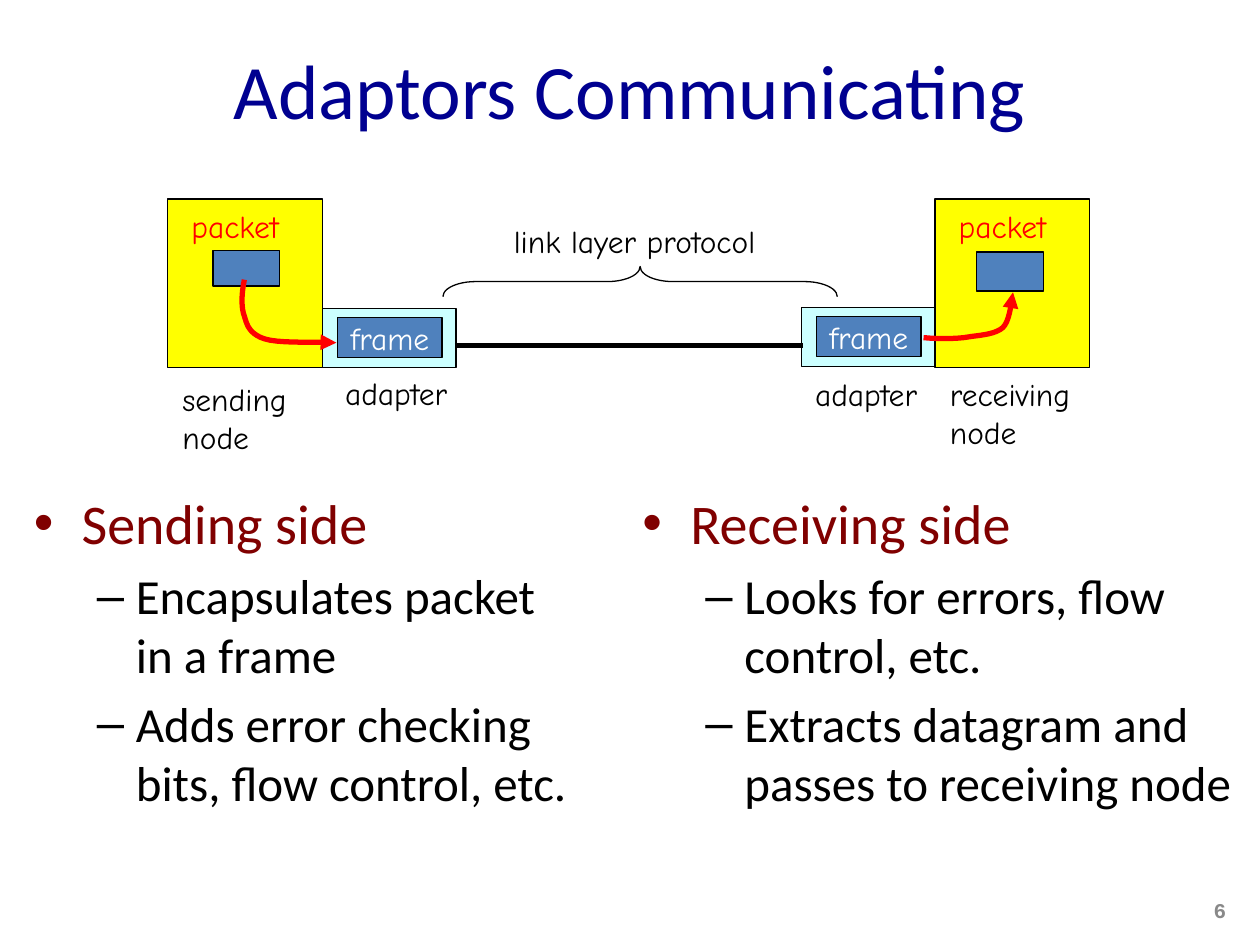
from lxml import etree
from pptx import Presentation
from pptx import util as u
from pptx.dml.color import RGBColor
from pptx.enum import shapes, text
from pptx.oxml import ns

W, H = 10, 7.5
COLORS = {
    "navy": "000090", "maroon": "800000", "black": "000000", "gray": "898989",
    "red": "FF0000", "white": "FFFFFF", "yellow": "FFFF00", "cyan": "CCFFFF",
    "blue": "4F81BD",
}
TITLE = "Adaptors Communicating"
COLUMNS = [
    (0.17, 4.67, "Sending side",
     ["Encapsulates packet\vin a frame", "Adds error checking bits, flow control, etc."]),
    (5, 4.92, "Receiving side",
     ["Looks for errors, flow control, etc.", "Extracts datagram and passes to receiving node"]),
]
LEVELS = [
    {"bullet": "•", "size": 32, "color": "maroon", "left": 0.38, "hang": 0.38},
    {"bullet": "–", "size": 28, "color": "black", "left": 0.81, "hang": 0.31},
]
NODE, ADAPTER, FRAME = (1.23, 1.34), (1.06, 0.47), (0.83, 0.32)
FRAME_INSET = (0.12, 0.07)
NODES = [(1.33, 1.58), (7.42, 1.58)]
PACKETS = [(1.69, 1.99, 0.53, 0.28), (7.75, 2, 0.53, 0.31)]
ADAPTERS = [(2.56, 2.45), (6.36, 2.44)]
LABELS = [
    (1.42, 1.59, 0.99, "packet", "red"),
    (7.51, 1.59, 0.99, "packet", "red"),
    (2.64, 2.92, 1.11, "adapter", "black"),
    (6.37, 2.93, 1.11, "adapter", "black"),
    (3.98, 1.71, 2.3, "link layer protocol", "black"),
    (1.35, 2.97, 1.07, "sending\nnode", "black"),
    (7.44, 2.93, 1.25, "receiving\nnode", "black"),
]
ARROWS = [
    [(1.94, 2.22), (1.92, 2.32), (1.91, 2.43), (1.94, 2.51), (1.96, 2.58),
     (1.98, 2.65), (2.1, 2.69), (2.22, 2.73), (2.57, 2.71), (2.67, 2.72)],
    [(7.33, 2.68), (7.44, 2.69), (7.55, 2.69), (7.65, 2.68), (7.76, 2.66),
     (7.89, 2.66), (7.96, 2.6), (8.02, 2.54), (8.03, 2.36), (8.04, 2.32)],
]
STEPS = 10


def rgb(name):
    return RGBColor.from_string(COLORS[name])


def inches(*values):
    return [u.Inches(v) for v in values]


def style(p, size, font, color, bold=False):
    for r in p.runs:
        for key, value in {"size": u.Pt(size), "name": font, "bold": bold}.items():
            setattr(r.font, key, value)
        r.font.color.rgb = rgb(color)


def outline(sp, color="black", width=0.75):
    sp.shadow.inherit = False
    sp.line.color.rgb = rgb(color)
    sp.line.width = u.Pt(width)


def add_box(s, box, fill):
    sp = s.shapes.add_shape(shapes.MSO_SHAPE.RECTANGLE, *inches(*box))
    sp.fill.solid()
    sp.fill.fore_color.rgb = rgb(fill)
    outline(sp)
    return sp


def add_label(s, x, y, w, words, color):
    lines = words.split("\n")
    tf = s.shapes.add_textbox(*inches(x, y, w, 0.1 + 0.3 * len(lines))).text_frame
    tf.word_wrap = False
    tf.auto_size = text.MSO_AUTO_SIZE.SHAPE_TO_FIT_TEXT
    tf.text = words
    for p in tf.paragraphs:
        style(p, 18, "Comic Neue", color)


def add_bullet(p, words, level):
    fmt = LEVELS[level]
    p.text = words
    p.level = level
    p.space_before = u.Pt(fmt["size"] * 0.2)
    style(p, fmt["size"], "Calibri", fmt["color"])
    ppr = p._p.get_or_add_pPr()
    ppr.set("marL", str(u.Inches(fmt["left"])))
    ppr.set("indent", str(-u.Inches(fmt["hang"])))
    etree.SubElement(ppr, ns.qn("a:buFont")).set("typeface", "Arial")
    etree.SubElement(ppr, ns.qn("a:buChar")).set("char", fmt["bullet"])


def bezier(a, b, c, d, t):
    v = 1 - t
    return tuple(v**3 * i + 3 * v * v * t * j + 3 * v * t * t * k + t**3 * m
                 for i, j, k, m in zip(a, b, c, d))


def add_arrow(s, points):
    curve = [bezier(*points[i:i + 4], n / STEPS)
             for i in range(0, len(points) - 1, 3) for n in range(1, STEPS + 1)]
    fb = s.shapes.build_freeform(*inches(*points[0]), scale=1.0)
    fb.add_line_segments([inches(*point) for point in curve], close=False)
    sp = fb.convert_to_shape()
    sp.fill.background()
    outline(sp, "red", 3)
    ln = sp.line._get_or_add_ln()
    etree.SubElement(ln, ns.qn("a:round"))
    etree.SubElement(ln, ns.qn("a:tailEnd")).set("type", "triangle")


def add_title(s):
    sp = s.shapes.title
    sp.left, sp.top, sp.width, sp.height = inches(0.5, 0.08, 9, 1.25)
    tf = sp.text_frame
    tf.text = TITLE
    tf.vertical_anchor = text.MSO_ANCHOR.MIDDLE
    tf.paragraphs[0].alignment = text.PP_ALIGN.CENTER
    style(tf.paragraphs[0], 44, "Calibri", "navy")


def add_columns(s):
    for x, w, head, items in COLUMNS:
        tf = s.shapes.add_textbox(*inches(x, 3.83, w, 2.58)).text_frame
        tf.word_wrap = True
        add_bullet(tf.paragraphs[0], head, 0)
        for item in items:
            add_bullet(tf.add_paragraph(), item, 1)


def add_diagram(s):
    for x, y in ADAPTERS:
        add_box(s, (x, y, *ADAPTER), "cyan")
        tf = add_box(s, (x + FRAME_INSET[0], y + FRAME_INSET[1], *FRAME), "blue").text_frame
        tf.word_wrap = False
        tf.text = "frame"
        tf.vertical_anchor = text.MSO_ANCHOR.MIDDLE
        tf.paragraphs[0].alignment = text.PP_ALIGN.CENTER
        style(tf.paragraphs[0], 18, "Comic Neue", "white")
    for x, y in NODES:
        add_box(s, (x, y, *NODE), "yellow")
    for box in PACKETS:
        add_box(s, box, "blue")

    link = s.shapes.add_connector(shapes.MSO_CONNECTOR.STRAIGHT, *inches(3.61, 2.74, 6.37, 2.74))
    link.line.color.rgb = rgb("black")
    link.line.width = u.Pt(3)
    etree.SubElement(link._element.spPr, ns.qn("a:effectLst"))

    brace = s.shapes.add_shape(shapes.MSO_SHAPE.LEFT_BRACE, *inches(4.96, 0.67, 0.24, 3.13))
    brace.rotation = 90
    brace.adjustments[0], brace.adjustments[1] = 1.08, 0.5
    brace.fill.background()
    outline(brace)

    for label in LABELS:
        add_label(s, *label)
    for points in ARROWS:
        add_arrow(s, points)


def add_number(s):
    tf = s.shapes.add_textbox(*inches(7.5, 7.02, 2.33, 0.4)).text_frame
    tf.word_wrap = True
    tf.text = "6"
    tf.vertical_anchor = text.MSO_ANCHOR.MIDDLE
    tf.paragraphs[0].alignment = text.PP_ALIGN.RIGHT
    style(tf.paragraphs[0], 12, "Courier New", "gray", bold=True)


def main():
    prs = Presentation()
    prs.slide_width, prs.slide_height = inches(W, H)
    s = prs.slides.add_slide(prs.slide_layouts[5])
    add_title(s)
    add_columns(s)
    add_diagram(s)
    add_number(s)
    prs.save("out.pptx")


if __name__ == "__main__":
    main()
